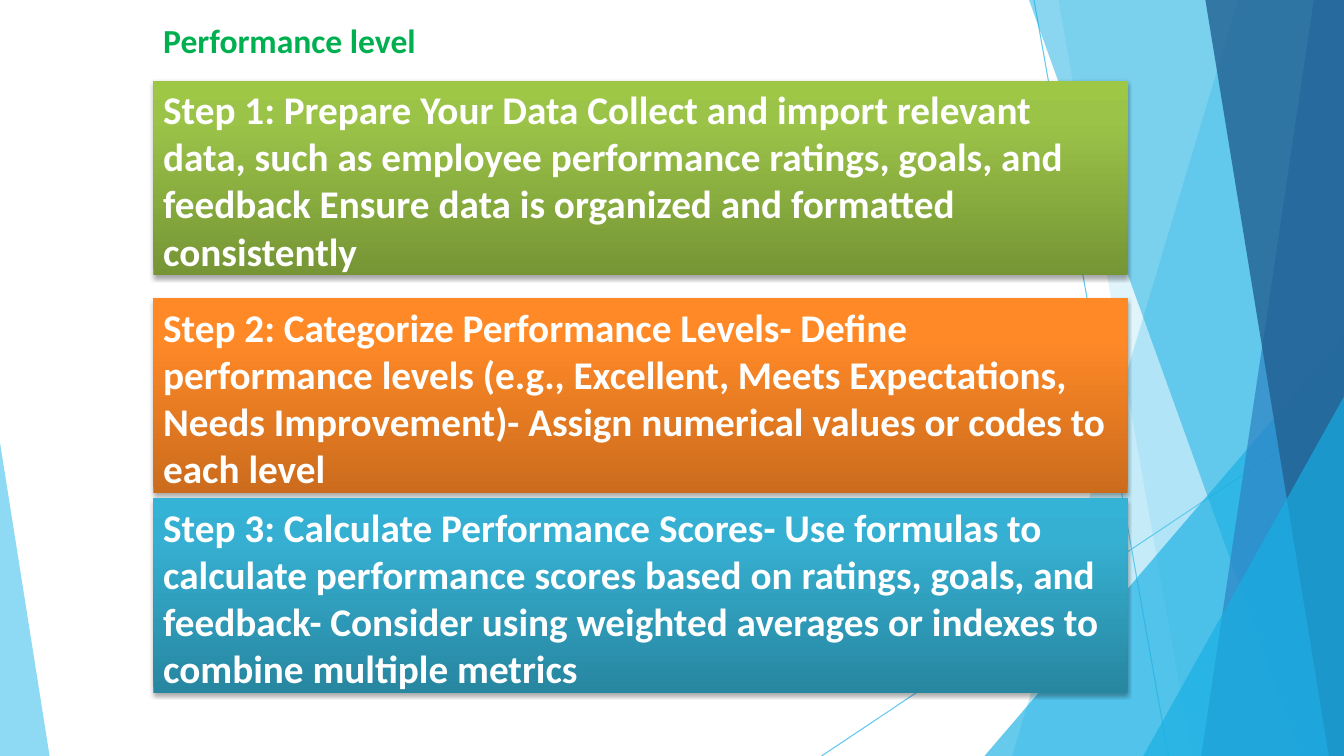
from dataclasses import dataclass
from copy import deepcopy

from lxml.etree import SubElement
from pptx import Presentation
from pptx.dml.color import RGBColor
from pptx.enum.shapes import MSO_CONNECTOR, MSO_SHAPE
from pptx.enum.text import MSO_ANCHOR, MSO_AUTO_SIZE, PP_ALIGN
from pptx.oxml.ns import qn
from pptx.util import Inches, Pt

COLUMNS, ROWS = 160, 90


@dataclass(frozen=True)
class Theme:
    font: str = "Calibri"
    heading_size: int = 24
    step_size: int = 28
    line_width: float = 0.75
    heading: str = "00B050"
    step_text: str = "FFFFFF"
    shadow: str = "000000"
    sky: str = "5FCAEE"
    azure: str = "17AFE3"
    blue: str = "2D83C3"
    navy: str = "226192"
    green: tuple = ("769535", "9BC348", "9DC745")
    orange: tuple = ("CB6C1D", "FF8927", "FF8A29")
    teal: tuple = ("2786A0", "36B0D2", "34B3D6")
    gradient_stops: tuple = (0, 0.8, 1)


THEME = Theme()

RAYS = [((123.1, 0), (139.1, 90)), ((160, 48.5), (97.8, 90))]

RIGHT_FACETS = [
    (147.4, 0, 120.5, THEME.sky, 36),
    (126, 0, 141.9, THEME.sky, 20),
    (160, 40, 117.2, THEME.azure, 66),
    (122.5, 0, 154.9, THEME.azure, 50),
    (156.4, 0, 143, THEME.blue, 70),
    (143.5, 0, 158.2, THEME.navy, 80),
    (160, 47.2, 136.1, THEME.azure, 66),
]
LEFT_FACET = [(0, 52.7), (0, 90), (5.9, 90)]

MARGIN, STEP_WIDTH, STEP_HEIGHT = 18.25, 116, 23.2
STEPS = [
    (9.6, THEME.green,
     "Step 1: Prepare Your Data Collect and import relevant data, such as "
     "employee performance ratings, goals, and feedback Ensure data is "
     "organized and formatted consistently"),
    (35.5, THEME.orange,
     "Step 2: Categorize Performance Levels- Define performance levels "
     "(e.g., Excellent, Meets Expectations, Needs Improvement)- Assign "
     "numerical values or codes to each level"),
    (59.3, THEME.teal,
     "Step 3: Calculate Performance Scores- Use formulas to calculate "
     "performance scores based on ratings, goals, and feedback- Consider "
     "using weighted averages or indexes to combine multiple metrics"),
]


def write_text(frame, text, *, font, size, color, bold=True):
    frame.word_wrap = True
    frame.auto_size = MSO_AUTO_SIZE.SHAPE_TO_FIT_TEXT
    frame.vertical_anchor = MSO_ANCHOR.TOP
    paragraph = frame.paragraphs[0]
    paragraph.alignment = PP_ALIGN.LEFT
    run = paragraph.add_run()
    run.text = text
    run.font.name = font
    run.font.size = Pt(size)
    run.font.bold = bold
    run.font.color.rgb = RGBColor.from_string(color)


class SlideBuilder:
    def __init__(self, presentation, theme):
        self.theme = theme
        self.column = presentation.slide_width / COLUMNS
        self.row = presentation.slide_height / ROWS
        self.slide = presentation.slides.add_slide(presentation.slide_layouts[6])

    def place(self, column, row):
        return round(column * self.column), round(row * self.row)

    def ray(self, start, end):
        ray = self.slide.shapes.add_connector(
            MSO_CONNECTOR.STRAIGHT, *self.place(*start), *self.place(*end))
        ray.line.color.rgb = RGBColor.from_string(self.theme.sky)
        ray.line.width = Pt(self.theme.line_width)
        SubElement(ray._element.spPr, qn("a:effectLst"))

    def facet(self, corners, color, opacity):
        first, *others = [self.place(*corner) for corner in corners]
        outline = self.slide.shapes.build_freeform(*first)
        outline.add_line_segments(others, close=True)
        facet = outline.convert_to_shape()
        facet.shadow.inherit = False
        facet.line.fill.background()
        facet.fill.solid()
        facet.fill.fore_color.rgb = RGBColor.from_string(color)
        tint = facet._element.spPr.find(".//" + qn("a:srgbClr"))
        SubElement(tint, qn("a:alpha"), val=str(opacity * 1000))

    def step(self, row, colors, text):
        step = self.slide.shapes.add_shape(
            MSO_SHAPE.RECTANGLE, *self.place(MARGIN, row),
            *self.place(STEP_WIDTH, STEP_HEIGHT))
        step.line.fill.background()
        self.shade(step, colors)
        self.drop_shadow(step)
        write_text(step.text_frame, text, font=self.theme.font,
                   size=self.theme.step_size, color=self.theme.step_text)

    def shade(self, step, colors):
        step.fill.gradient()
        step.fill.gradient_angle = 90
        stops = step._element.spPr.find(".//" + qn("a:gsLst"))
        stops.append(deepcopy(stops[0]))
        for stop, color, position in zip(
                step.fill.gradient_stops, colors, self.theme.gradient_stops):
            stop.color.rgb = RGBColor.from_string(color)
            stop.position = position

    def drop_shadow(self, step):
        step.shadow.inherit = False
        effects = step._element.spPr.find(qn("a:effectLst"))
        shadow = SubElement(
            effects, qn("a:outerShdw"), blurRad=str(Pt(3.1)),
            dist=str(Pt(1.8)), dir="5400000", rotWithShape="0")
        color = SubElement(shadow, qn("a:srgbClr"), val=self.theme.shadow)
        SubElement(color, qn("a:alpha"), val="35000")

    def heading(self, text):
        heading = self.slide.shapes.add_textbox(
            *self.place(MARGIN, 1.8), *self.place(80, 6))
        write_text(heading.text_frame, text, font=self.theme.font,
                   size=self.theme.heading_size, color=self.theme.heading)


def main():
    presentation = Presentation()
    presentation.slide_width = Inches(13.33)
    presentation.slide_height = Inches(7.5)
    builder = SlideBuilder(presentation, THEME)

    for start, end in RAYS:
        builder.ray(start, end)
    for top, row, foot, color, opacity in RIGHT_FACETS:
        corners = dict.fromkeys(
            [(COLUMNS, row), (top, row), (foot, ROWS), (COLUMNS, ROWS)])
        builder.facet(corners, color, opacity)
    builder.facet(LEFT_FACET, THEME.sky, 70)

    for row, colors, text in STEPS:
        builder.step(row, colors, text)
    builder.heading("Performance level")
    presentation.save("out.pptx")


if __name__ == "__main__":
    main()
